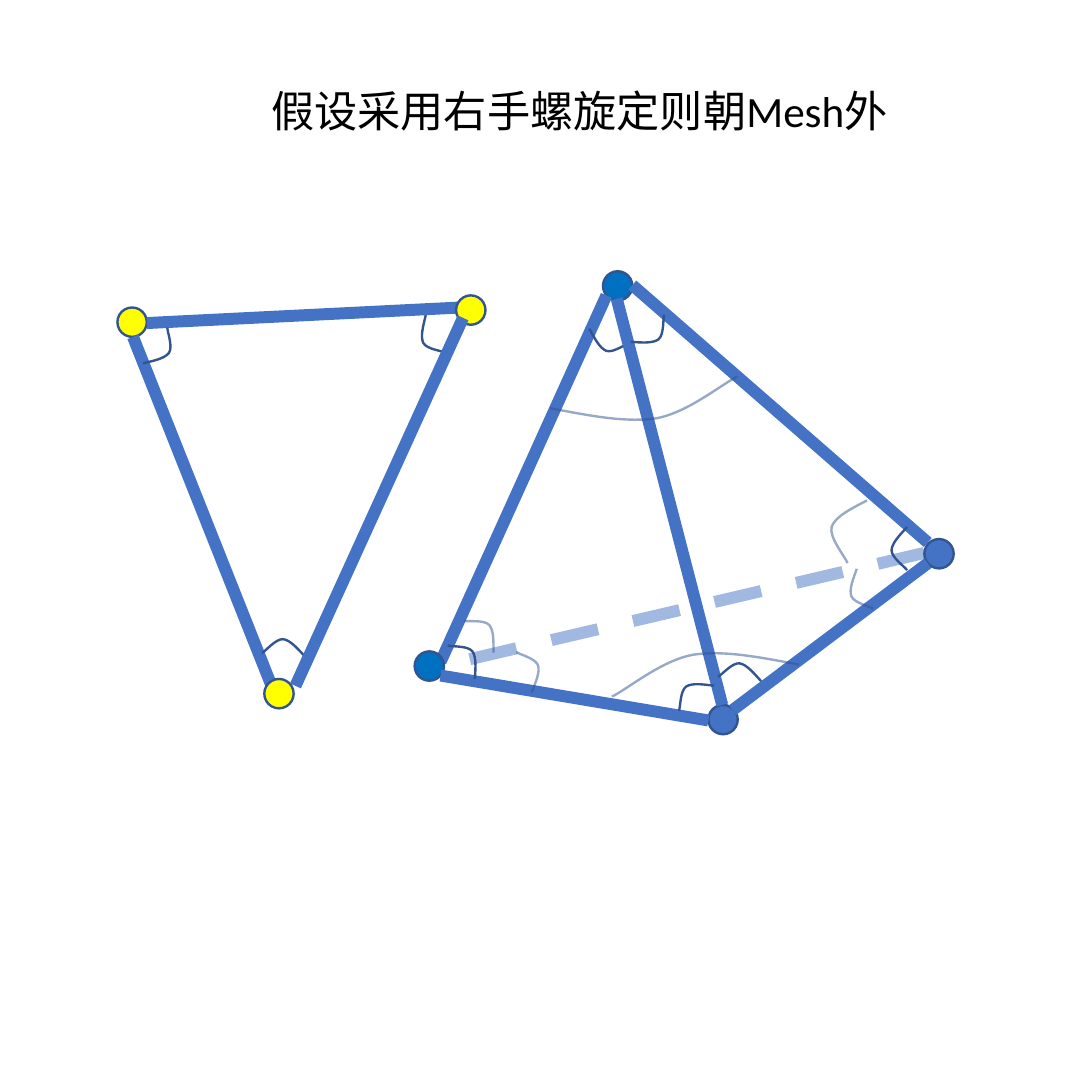
from lxml.etree import SubElement
from pptx import Presentation
from pptx.dml.color import RGBColor
from pptx.enum.dml import MSO_LINE
from pptx.enum.shapes import MSO_CONNECTOR, MSO_SHAPE
from pptx.oxml.ns import qn
from pptx.util import Inches, Pt

COLORS = {
    "edge": "4472C4",
    "outline": "325491",
    "vertex": "4472C4",
    "shared": "0070C0",
    "face": "FFFF00",
    "text": "000000",
}

# Angle mark: two joined cubic curves as fractions of width and height
MARK_CURVE = [(0, 0), (0.19, 0.48), (0.37, 0.97), (0.54, 1), (0.71, 1), (0.92, 0.15), (1, 0)]
SMALL = (0.25, 0.09)
MEDIUM = (0.38, 0.15)
LARGE = (1.1, 0.16)


class MeshSlide:
    FONT = "Calibri"
    VERTEX_SIZE = 0.17

    def __init__(self, slide):
        self.shapes = slide.shapes

    def color(self, name):
        return RGBColor.from_string(COLORS[name])

    def stroke(self, line, color, width, faded=False):
        line.color.rgb = self.color(color)
        line.width = Pt(width)
        if faded:
            fill = line.fill._xPr.find(qn("a:solidFill"))
            SubElement(fill[0], qn("a:alpha"), val="50000")

    def title(self, left, top, width, height, text):
        frame = self.shapes.add_textbox(
            Inches(left), Inches(top), Inches(width), Inches(height)).text_frame
        frame.word_wrap = True
        frame.margin_left = frame.margin_right = 0
        frame.margin_top = frame.margin_bottom = 0
        run = frame.paragraphs[0].add_run()
        run.text = text
        run.font.name = self.FONT
        run.font.size = Pt(18)
        run.font.color.rgb = self.color("text")

    def vertex(self, left, top, color):
        size = Inches(self.VERTEX_SIZE)
        dot = self.shapes.add_shape(
            MSO_SHAPE.OVAL, Inches(left), Inches(top), size, size)
        dot.shadow.inherit = False
        dot.fill.solid()
        dot.fill.fore_color.rgb = self.color(color)
        self.stroke(dot.line, "outline", 1)

    def edge(self, x1, y1, x2, y2, hidden=False):
        edge = self.shapes.add_connector(
            MSO_CONNECTOR.STRAIGHT, Inches(x1), Inches(y1), Inches(x2), Inches(y2))
        self.stroke(edge.line, "edge", 5, hidden)
        if hidden:
            edge.line.dash_style = MSO_LINE.DASH
        SubElement(edge._element.spPr, qn("a:effectLst"))

    def angle(self, left, top, rotation, size=SMALL, faded=False):
        width, height = size
        points = [(Inches(left + x * width), Inches(top + y * height))
                  for x, y in MARK_CURVE]
        builder = self.shapes.build_freeform(*points[0])
        builder.add_line_segments(points[1:], close=False)
        mark = builder.convert_to_shape()
        # Turn each three line segments into one cubic curve
        outline = next(mark._element.iter(qn("a:path")))
        segments = outline.findall(qn("a:lnTo"))
        for first in range(0, len(segments), 3):
            curve = SubElement(outline, qn("a:cubicBezTo"))
            for segment in segments[first:first + 3]:
                curve.append(segment[0])
                outline.remove(segment)
        mark.rotation = rotation
        mark.shadow.inherit = False
        mark.fill.background()
        self.stroke(mark.line, "outline", 1, faded)


def main():
    deck = Presentation()
    deck.slide_width = deck.slide_height = Inches(6.32)
    mesh = MeshSlide(deck.slides.add_slide(deck.slide_layouts[6]))

    mesh.title(1.57, 0.49, 3.6, 0.3, "假设采用右手螺旋定则朝Mesh外")

    # Tetrahedron: hidden edge, left face edge and vertices
    mesh.edge(5.35, 3.2, 2.57, 3.85, hidden=True)
    mesh.vertex(3.49, 1.57, "shared")
    mesh.edge(3.51, 1.71, 2.55, 3.83)
    mesh.angle(3.39, 1.94, 18.5)
    mesh.vertex(2.4, 3.77, "shared")
    mesh.vertex(4.1, 4.08, "vertex")
    mesh.vertex(5.35, 3.12, "vertex")
    mesh.vertex(0.68, 1.78, "face")

    # Remaining tetrahedron edges, then left and upper triangle sides
    for ends in [(4.1, 4.17, 2.55, 3.91), (5.37, 3.26, 4.24, 4.11),
                 (5.37, 3.14, 3.66, 1.65), (3.57, 1.73, 4.18, 4.08),
                 (1.58, 3.99, 0.77, 1.95), (2.66, 1.78, 0.85, 1.87)]:
        mesh.edge(*ends)

    # Angle marks, faded on the hidden faces
    for mark in [(2.58, 3.76, 230.9),
                 (2.95, 3.83, 249.3, SMALL, True),
                 (2.68, 3.61, 227.5, SMALL, True),
                 (3.88, 3.96, 144.3),
                 (4.84, 3.38, 67.4, SMALL, True),
                 (4.7, 2.98, 107.4, MEDIUM, True),
                 (5.08, 3.13, 90),
                 (4.16, 3.84, 185.8),
                 (2.36, 1.91, 61.1),
                 (1.52, 3.7, 185),
                 (0.81, 1.98, 304.3),
                 (3.52, 3.78, 170.3, LARGE, True),
                 (3.65, 1.89, 321),
                 (3.19, 2.27, 350.4, LARGE, True)]:
        mesh.angle(*mark)

    # Triangle: other vertices and right side
    mesh.vertex(1.53, 3.93, "face")
    mesh.vertex(2.64, 1.71, "face")
    mesh.edge(2.68, 1.84, 1.71, 3.97)

    deck.save("out.pptx")


if __name__ == "__main__":
    main()
